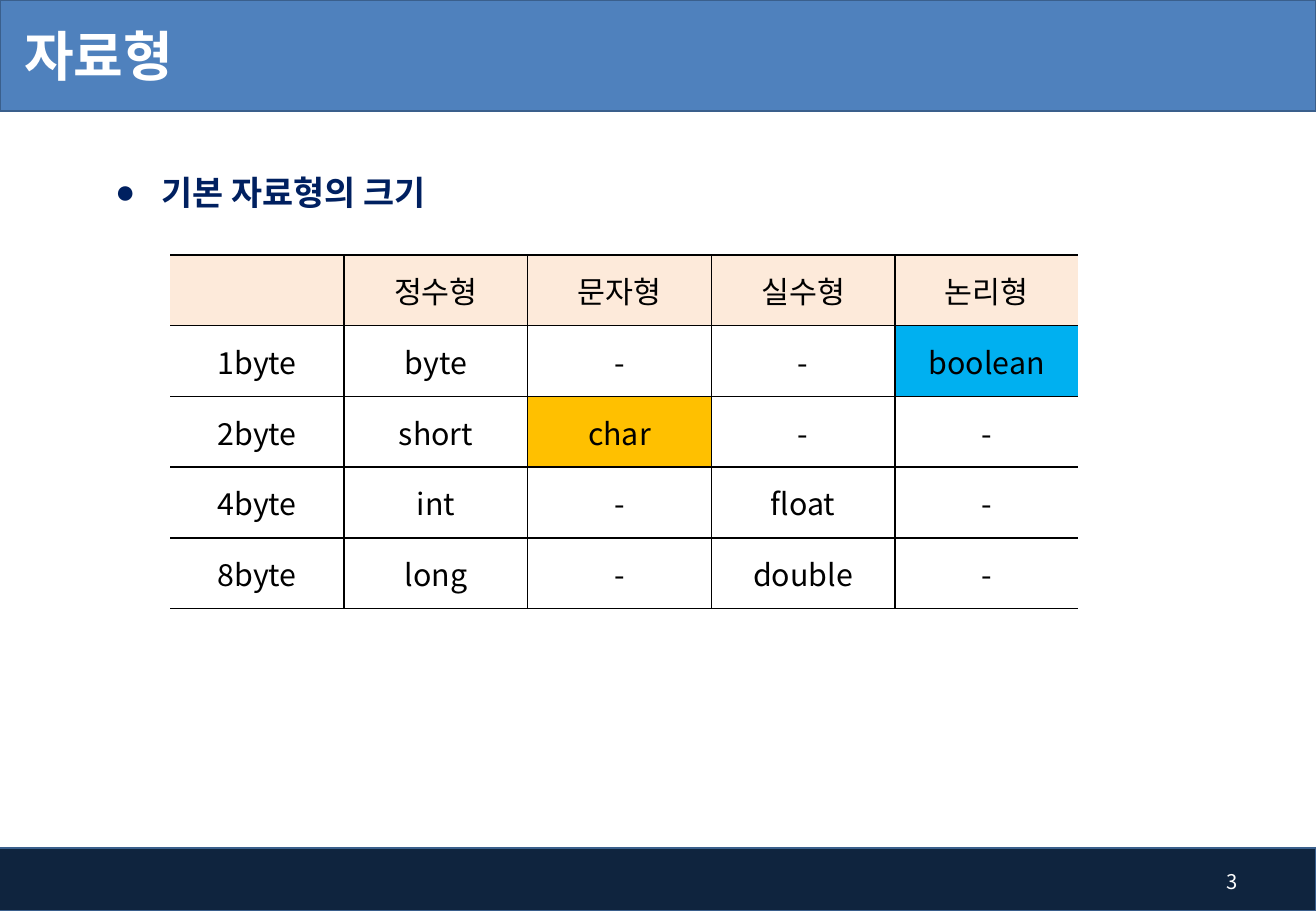
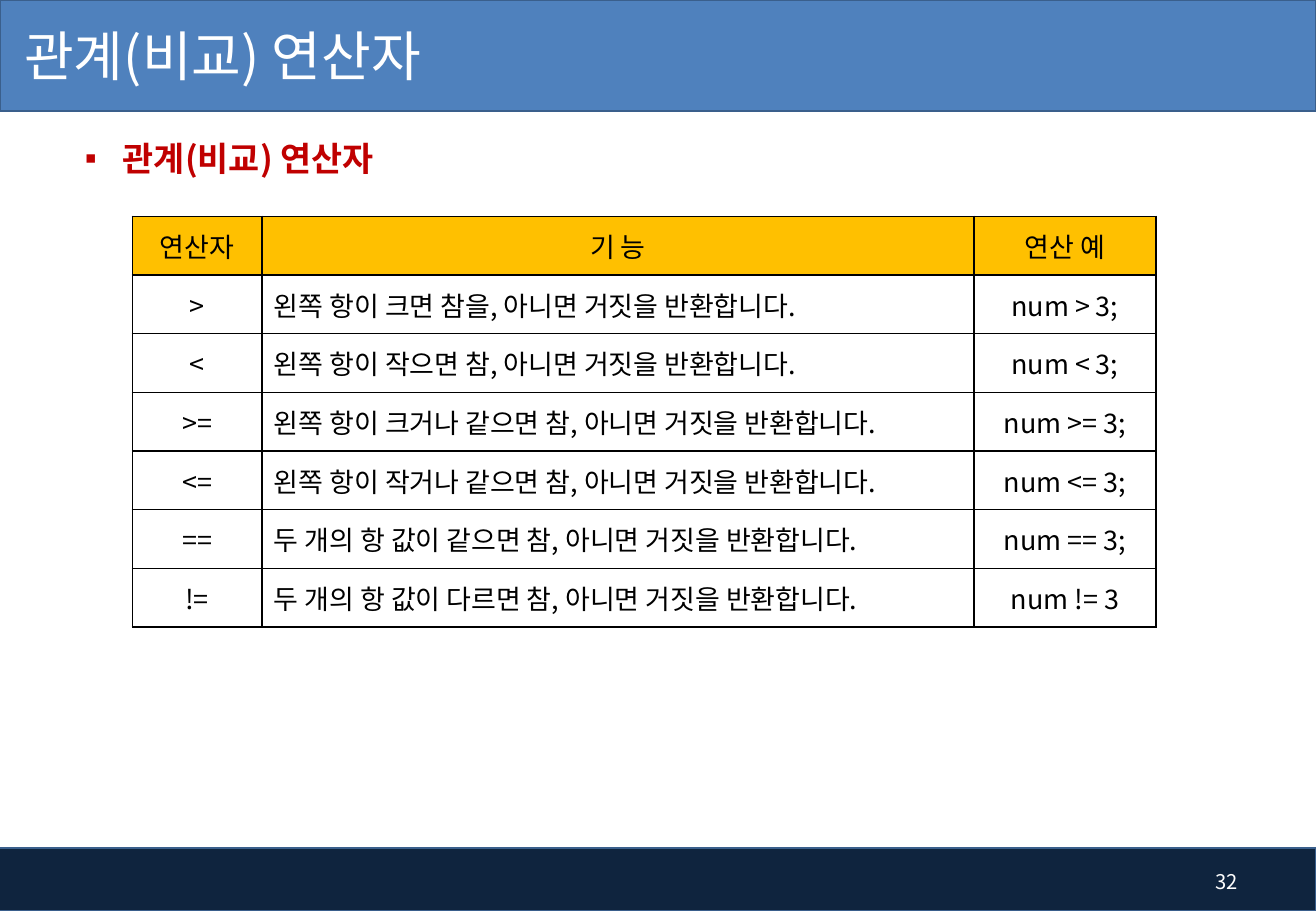
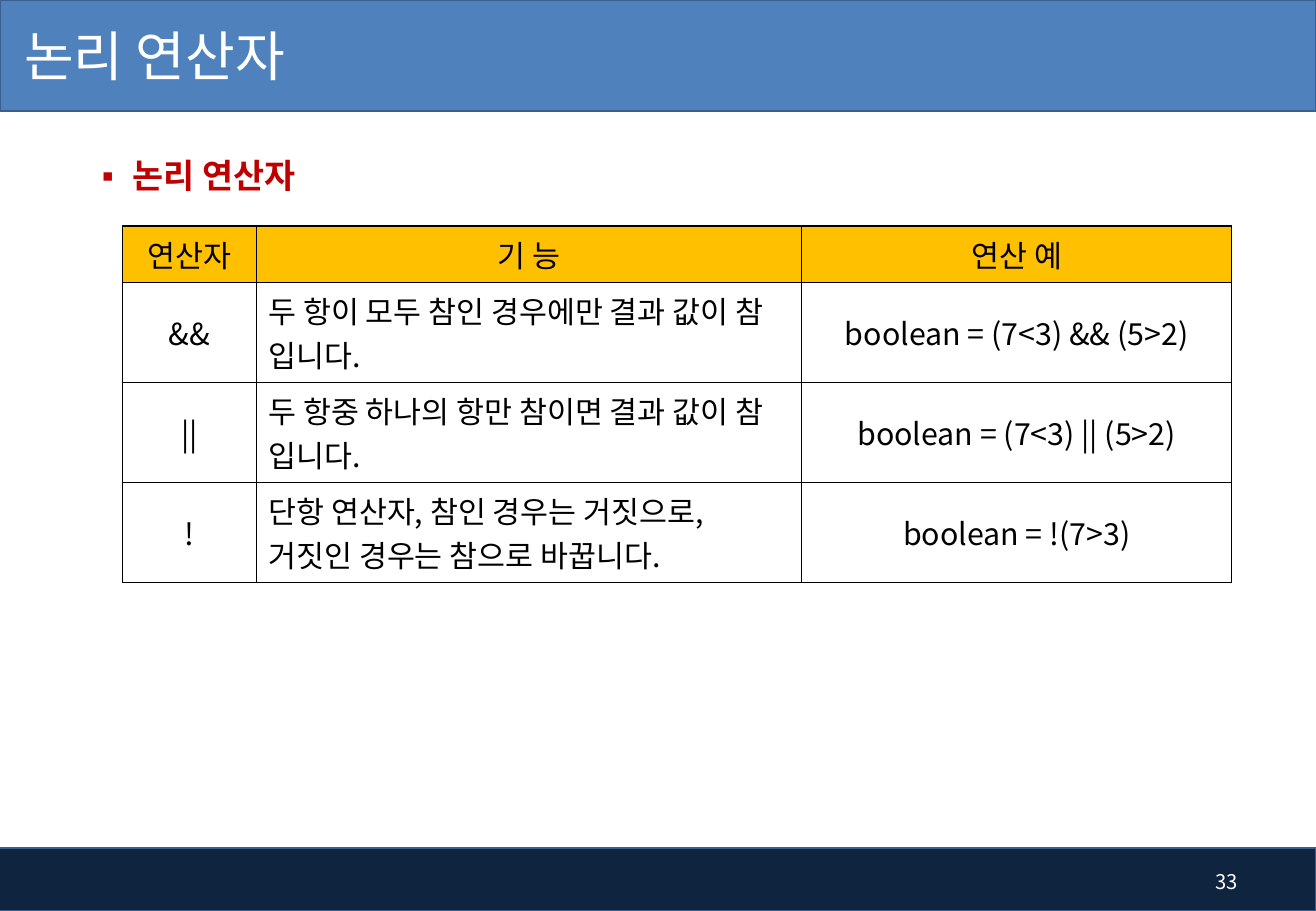
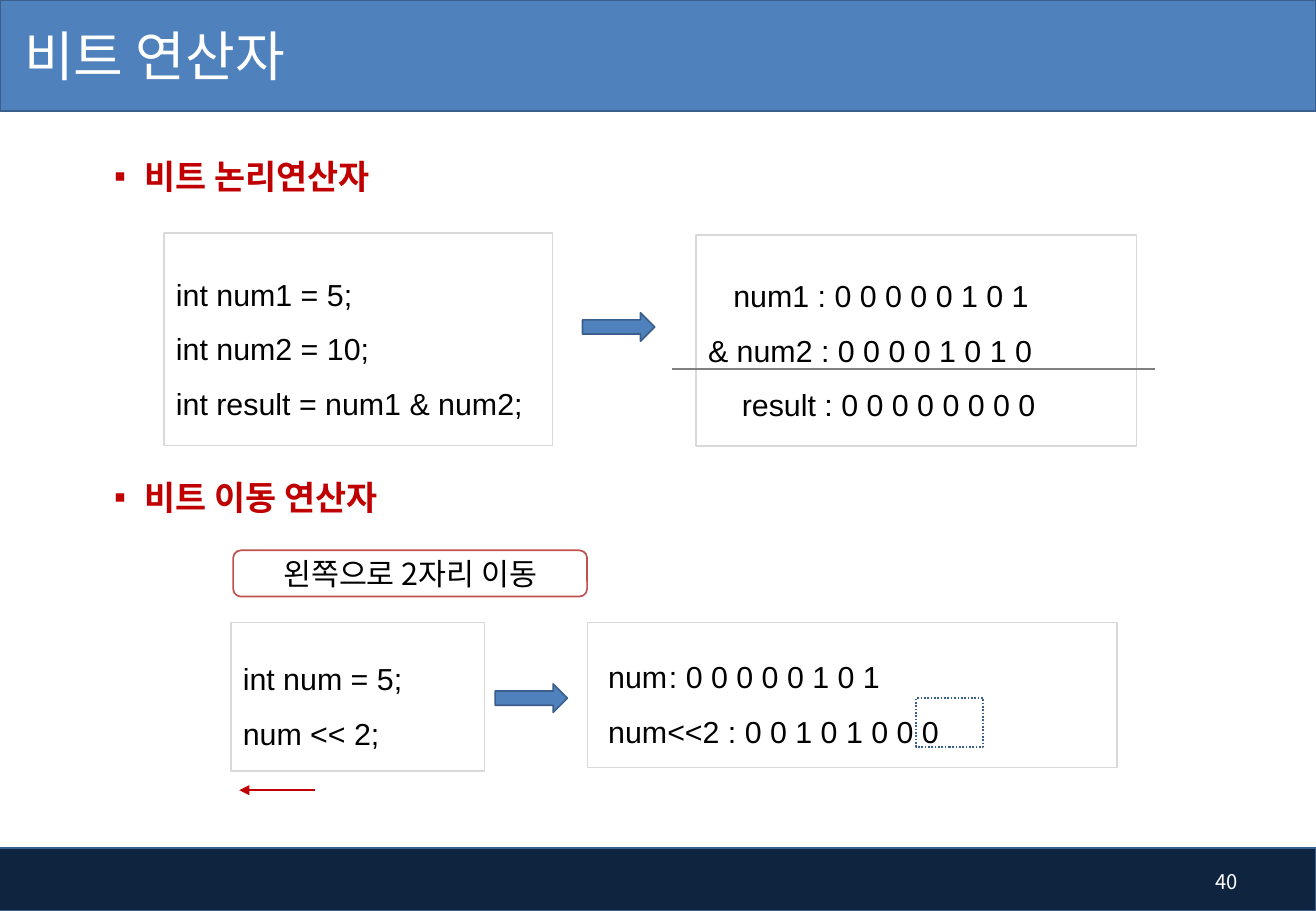
from dataclasses import dataclass

from lxml import etree
from pptx import Presentation
from pptx.dml.color import RGBColor
from pptx.enum import dml, shapes, text
from pptx.oxml.ns import qn
from pptx.util import Pt


@dataclass(frozen=True)
class TextStyle:
    size: float
    color: str
    font: str = "Noto Sans CJK KR"
    bold: bool = False


class Theme:
    band, footer, outline = "4F81BD", "0F243E", "3A5F8C"
    white, black, panel_line, rule = "FFFFFF", "000000", "D9D9D9", "808080"
    red, rose, gold, sky, peach = "C00000", "C0504D", "FFC000", "00B0F0", "FDEADA"
    title = TextStyle(32, white)
    title_bold = TextStyle(32, white, bold=True)
    number = TextStyle(12, white)
    heading = TextStyle(20, red, bold=True)
    heading_navy = TextStyle(20, "002060", bold=True)
    body = TextStyle(18, black)
    body_small = TextStyle(16, black)
    code = TextStyle(18, black, "Arial")


LEFT, CENTER, RIGHT = text.PP_ALIGN.LEFT, text.PP_ALIGN.CENTER, text.PP_ALIGN.RIGHT
MIDDLE, TOP = text.MSO_ANCHOR.MIDDLE, text.MSO_ANCHOR.TOP
WIDTH, HEIGHT = 780, 540

OPERATOR_HEADER = ["연산자", "기 능", "연산 예"]

TABLE_SLIDES = [
    {
        "title": "자료형", "number": 3, "title_style": Theme.title_bold,
        "heading": ("기본 자료형의 크기", 61.2, 98.5, 27.4, "●", Theme.heading_navy),
        "table": {
            "at": (100.8, 151.2), "columns": [103.2] + [108.8] * 4, "heights": [41.9] * 5,
            "rows": [
                ["", "정수형", "문자형", "실수형", "논리형"],
                ["1byte", "byte", "-", "-", "boolean"],
                ["2byte", "short", "char", "-", "-"],
                ["4byte", "int", "-", "float", "-"],
                ["8byte", "long", "-", "double", "-"],
            ],
            "style": Theme.body, "header": Theme.peach, "left_column": None, "open_sides": True,
            "highlights": {"boolean": Theme.sky, "char": Theme.gold},
        },
    },
    {
        "title": "관계(비교) 연산자", "number": 32, "title_style": Theme.title,
        "heading": ("관계(비교) 연산자", 43.2, 78, 22.5, "▪", Theme.heading),
        "table": {
            "at": (78.4, 128.2), "columns": [76.8, 422, 108], "heights": [34.8] * 7,
            "rows": [
                OPERATOR_HEADER,
                [">", "왼쪽 항이 크면 참을, 아니면 거짓을 반환합니다.", "num > 3;"],
                ["<", "왼쪽 항이 작으면 참, 아니면 거짓을 반환합니다.", "num < 3;"],
                [">=", "왼쪽 항이 크거나 같으면 참, 아니면 거짓을 반환합니다.", "num >= 3;"],
                ["<=", "왼쪽 항이 작거나 같으면 참, 아니면 거짓을 반환합니다.", "num <= 3;"],
                ["==", "두 개의 항 값이 같으면 참, 아니면 거짓을 반환합니다.", "num == 3;"],
                ["!=", "두 개의 항 값이 다르면 참, 아니면 거짓을 반환합니다.", "num != 3"],
            ],
            "style": Theme.body_small, "header": Theme.gold, "left_column": 1,
            "open_sides": False, "highlights": {},
        },
    },
    {
        "title": "논리 연산자", "number": 33, "title_style": Theme.title,
        "heading": ("논리 연산자", 53.3, 88.5, 18, "▪", Theme.heading),
        "table": {
            "at": (72.7, 133.9), "columns": [79.2, 323.3, 254.9],
            "heights": [33.6] + [59.3] * 3,
            "rows": [
                OPERATOR_HEADER,
                ["&&", "두 항이 모두 참인 경우에만 결과 값이 참 입니다.", "boolean = (7<3) && (5>2)"],
                ["||", "두 항중 하나의 항만 참이면 결과 값이 참 입니다.", "boolean = (7<3) || (5>2)"],
                ["!", "단항 연산자, 참인 경우는 거짓으로, 거짓인 경우는 참으로 바꿉니다.",
                 "boolean = !(7>3)"],
            ],
            "style": Theme.body, "header": Theme.gold, "left_column": 1,
            "open_sides": False, "highlights": {},
        },
    },
]

BIT_TITLE, BIT_NUMBER = "비트 연산자", 40
BIT_HEADINGS = [("비트 논리연산자", 89), ("비트 이동 연산자", 279.3)]
BIT_PANELS = [
    {"box": (97.2, 138.2, 230.4, 126), "inset": 7.2, "lines": [
        (0, "int num1 = 5;"), (0, "int num2 = 10;"), (0, "int result = num1 & num2;")]},
    {"box": (412.6, 139.5, 261, 125), "inset": 7.2, "lines": [
        (15, "num1 : 0 0 0 0 0 1 0 1"), (0, "& num2 : 0 0 0 0 1 0 1 0"),
        (20, "result : 0 0 0 0 0 0 0 0")]},
    {"box": (136.8, 369, 150.5, 88), "inset": 7.2, "lines": [
        (0, "int num = 5;"), (0, "num << 2;")]},
    {"box": (348.3, 369, 314, 86), "inset": 12.2, "lines": [
        (0, "num\t: 0 0 0 0 0 1 0 1"), (0, "num<<2 : 0 0 1 0 1 0 0 0")]},
]
BIT_TAB = 65
SHIFT_NOTE = "왼쪽으로 2자리 이동"
BLOCK_ARROWS = [(345.3, 185.4), (293.5, 405.4)]


def rgb(value):
    return RGBColor.from_string(value)


def add_element(parent, tag, **attributes):
    return etree.SubElement(parent, qn(tag), attributes)


def apply_style(paragraph, style):
    font = paragraph.font
    font.size = Pt(style.size)
    font.bold = style.bold
    font.color.rgb = rgb(style.color)
    font.name = style.font
    defaults = paragraph._p.pPr.find(qn("a:defRPr"))
    add_element(defaults, "a:ea", typeface=style.font)


def set_indent(paragraph, margin, first=0):
    properties = paragraph._p.get_or_add_pPr()
    properties.set("marL", str(Pt(margin)))
    properties.set("indent", str(Pt(first)))
    return properties


def add_text(slide, box, content, style, align=LEFT, anchor=MIDDLE, inset=7.2, bullet=None):
    textbox = slide.shapes.add_textbox(*map(Pt, box))
    frame = textbox.text_frame
    frame.word_wrap = True
    frame.vertical_anchor = anchor
    frame.margin_left = Pt(inset)
    paragraph = frame.paragraphs[0]
    paragraph.text = content
    paragraph.alignment = align
    if bullet:
        mark, indent = bullet
        properties = set_indent(paragraph, indent, -indent)
        color = add_element(properties, "a:buClr")
        add_element(color, "a:srgbClr", val=style.color)
        add_element(properties, "a:buFont", typeface="Arial")
        add_element(properties, "a:buChar", char=mark)
    apply_style(paragraph, style)


def add_heading(slide, content, left, top, indent, mark, style):
    add_text(slide, (left, top, 600, 36), content, style, anchor=TOP, bullet=(mark, indent))


def add_box(slide, box, fill, line, kind=shapes.MSO_SHAPE.RECTANGLE):
    shape = slide.shapes.add_shape(kind, *map(Pt, box))
    shape.shadow.inherit = False
    if fill:
        shape.fill.solid()
        shape.fill.fore_color.rgb = rgb(fill)
    else:
        shape.fill.background()
    shape.line.color.rgb = rgb(line)
    shape.line.width = Pt(1)
    return shape


def add_line(slide, start, end, color):
    line = slide.shapes.add_connector(
        shapes.MSO_CONNECTOR.STRAIGHT, *map(Pt, start + end))
    line.line.color.rgb = rgb(color)
    line.line.width = Pt(1)
    add_element(line._element.spPr, "a:effectLst")
    return line


def add_base(presentation, title, number, title_style=Theme.title):
    slide = presentation.slides.add_slide(presentation.slide_layouts[6])
    add_box(slide, (-3, 502.6, WIDTH + 3, 37.4), Theme.footer, Theme.outline)
    add_box(slide, (0, 0, WIDTH, 66), Theme.band, Theme.outline)
    add_text(slide, (0, -1.4, 605, 67.6), title, title_style, inset=14.4)
    add_text(slide, (697, 508.3, 44, 28.8), str(number), Theme.number, align=RIGHT)
    return slide


def set_borders(cell, hidden):
    properties = cell._tc.get_or_add_tcPr()
    for index, side in enumerate(("a:lnL", "a:lnR", "a:lnT", "a:lnB")):
        line = etree.Element(qn(side), w=str(Pt(1)))
        if side in hidden:
            add_element(line, "a:noFill")
        else:
            fill = add_element(line, "a:solidFill")
            add_element(fill, "a:srgbClr", val=Theme.black)
        properties.insert(index, line)


def add_grid(slide, grid):
    rows, columns, heights = grid["rows"], grid["columns"], grid["heights"]
    box = (*grid["at"], sum(columns), sum(heights))
    table = slide.shapes.add_table(len(rows), len(columns), *map(Pt, box)).table
    table.first_row = table.horz_banding = False
    for column, width in zip(table.columns, columns):
        column.width = Pt(width)
    for row, height in zip(table.rows, heights):
        row.height = Pt(height)
    for row_index, values in enumerate(rows):
        for column_index, value in enumerate(values):
            cell = table.cell(row_index, column_index)
            fill = grid["highlights"].get(value) if row_index else grid["header"]
            if fill:
                cell.fill.solid()
                cell.fill.fore_color.rgb = rgb(fill)
            else:
                cell.fill.background()
            hidden = set()
            if grid["open_sides"] and column_index == 0:
                hidden.add("a:lnL")
            if grid["open_sides"] and column_index == len(columns) - 1:
                hidden.add("a:lnR")
            set_borders(cell, hidden)
            cell.vertical_anchor = MIDDLE
            paragraph = cell.text_frame.paragraphs[0]
            paragraph.text = value
            is_left = row_index and column_index == grid["left_column"]
            paragraph.alignment = LEFT if is_left else CENTER
            apply_style(paragraph, grid["style"])


def add_panel(slide, panel):
    shape = add_box(slide, panel["box"], Theme.white, Theme.panel_line)
    frame = shape.text_frame
    frame.word_wrap = True
    frame.vertical_anchor = MIDDLE
    frame.margin_left = Pt(panel["inset"])
    for index, (indent, content) in enumerate(panel["lines"]):
        paragraph = frame.add_paragraph() if index else frame.paragraphs[0]
        for part_index, part in enumerate(content.split("\t")):
            paragraph.add_run().text = "\t" + part if part_index else part
        paragraph.alignment = LEFT
        paragraph.line_spacing = 1.5
        properties = set_indent(paragraph, indent)
        if "\t" in content:
            tabs = add_element(properties, "a:tabLst")
            add_element(tabs, "a:tab", pos=str(Pt(BIT_TAB)), algn="l")
        apply_style(paragraph, Theme.code)


def add_bit_slide(presentation):
    slide = add_base(presentation, BIT_TITLE, BIT_NUMBER)
    for content, top in BIT_HEADINGS:
        add_heading(slide, content, 60.5, top, 18, "▪", Theme.heading)
    for panel in BIT_PANELS:
        add_panel(slide, panel)
    add_line(slide, (398.2, 218.9), (684.7, 218.9), Theme.rule)

    note = add_box(slide, (138.2, 326.2, 209.8, 27.4), None, Theme.rose,
                   shapes.MSO_SHAPE.ROUNDED_RECTANGLE)
    note.text_frame.vertical_anchor = MIDDLE
    paragraph = note.text_frame.paragraphs[0]
    paragraph.text = SHIFT_NOTE
    paragraph.alignment = CENTER
    apply_style(paragraph, Theme.body)

    shift_arrow = add_line(slide, (186.7, 468.4), (141.8, 468.4), Theme.red)
    add_element(shift_arrow.line._get_or_add_ln(), "a:tailEnd", type="triangle")
    filled_bits = add_box(slide, (543, 413.8, 39.8, 29), None, Theme.outline)
    filled_bits.line.dash_style = dml.MSO_LINE.ROUND_DOT
    for left, top in BLOCK_ARROWS:
        add_box(slide, (left, top, 42.8, 16.8), Theme.band, Theme.outline,
                shapes.MSO_SHAPE.RIGHT_ARROW)


def main():
    presentation = Presentation()
    presentation.slide_width, presentation.slide_height = Pt(WIDTH), Pt(HEIGHT)
    for content in TABLE_SLIDES:
        slide = add_base(presentation, content["title"], content["number"],
                         content["title_style"])
        add_heading(slide, *content["heading"])
        add_grid(slide, content["table"])
    add_bit_slide(presentation)
    presentation.save("out.pptx")


if __name__ == "__main__":
    main()
